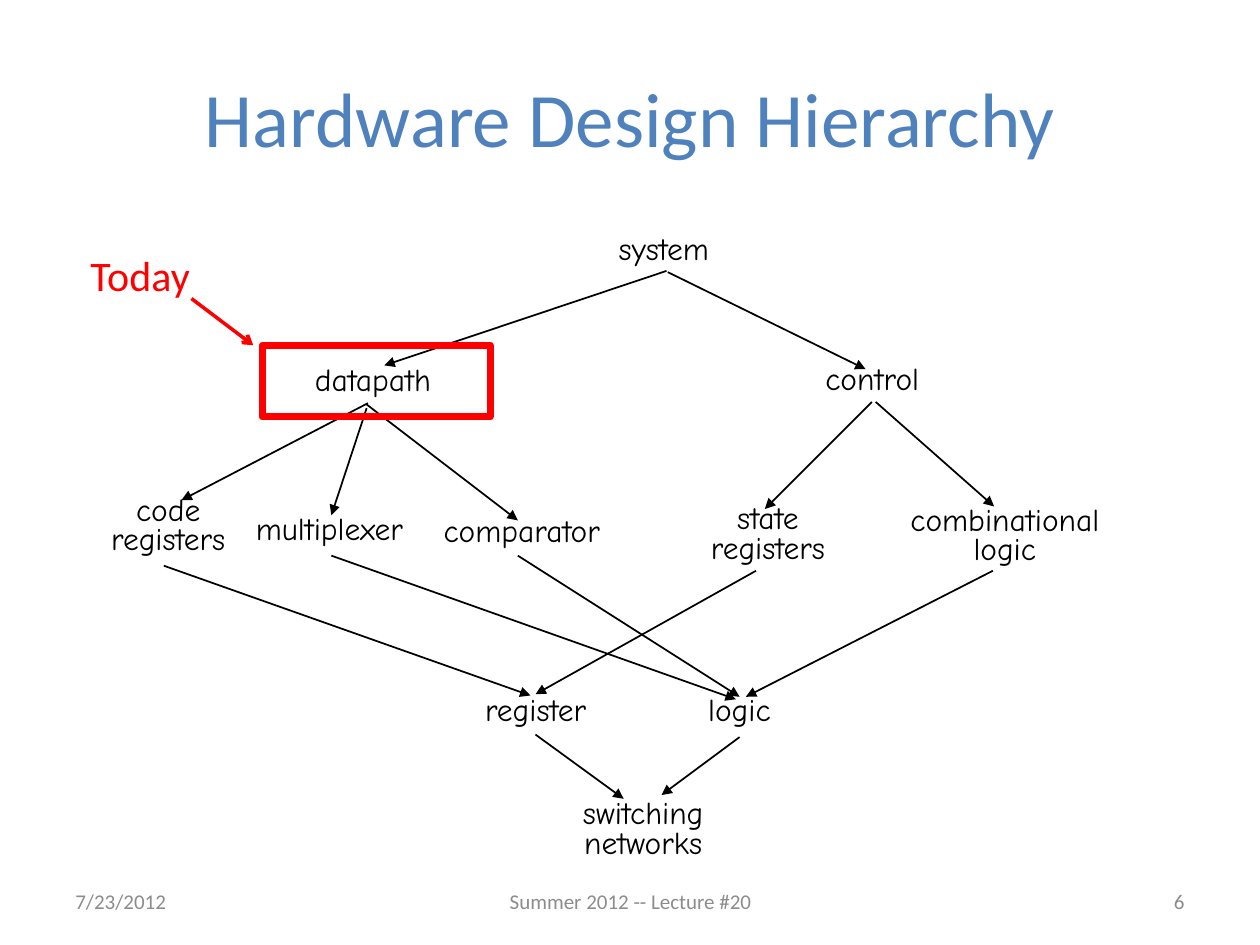
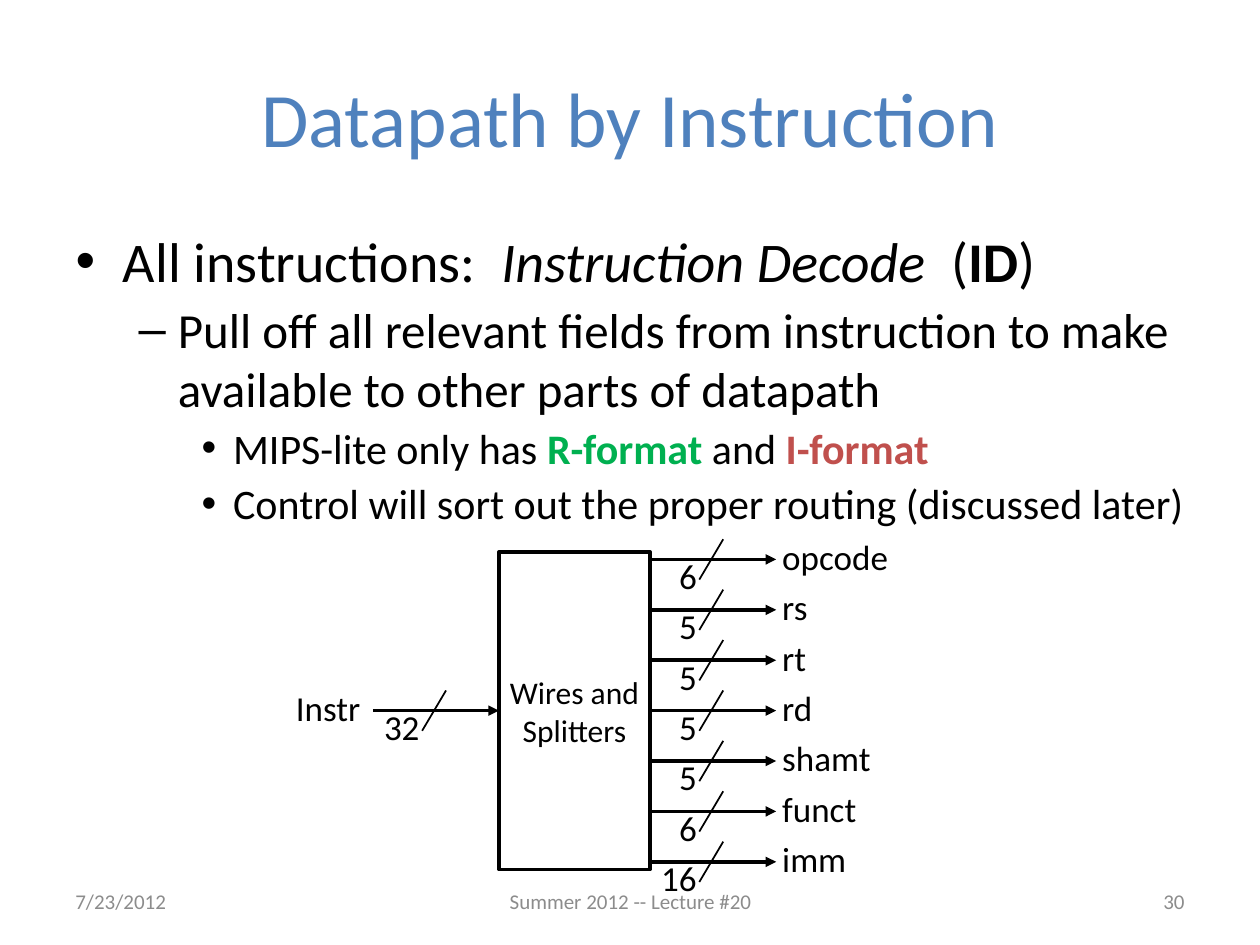
"""Builds two lecture slides: a hardware hierarchy and the instruction decode step."""
from lxml.etree import SubElement
from pptx import Presentation
from pptx.dml.color import RGBColor
from pptx.enum.shapes import MSO_CONNECTOR, MSO_SHAPE
from pptx.enum.text import MSO_ANCHOR, MSO_AUTO_SIZE, PP_ALIGN
from pptx.oxml.ns import qn
from pptx.util import Inches, Pt

BLUE, BLACK, GREY, RED = "4F81BD", "000000", "8C8C8C", "FF0000"
GREEN, BRICK = "00B050", "C0504D"
BODY_FONT, DIAGRAM_FONT = "Calibri", "Comic Neue"
LEFT, CENTER, RIGHT = PP_ALIGN.LEFT, PP_ALIGN.CENTER, PP_ALIGN.RIGHT

DATE, LECTURE = "7/23/2012", "Summer 2012 -- Lecture #20"

NODES = [
    ("system", 4.89, 1.85, 1.12, LEFT),
    ("datapath", 2.48, 2.89, 1.33, LEFT),
    ("control", 6.53, 2.88, 1.11, LEFT),
    ("code\nregisters", 0.83, 3.92, 1.01, CENTER),
    ("multiplexer", 2.01, 4.07, 1.49, LEFT),
    ("comparator", 3.5, 4.09, 1.52, LEFT),
    ("state\nregisters", 5.26, 3.99, 1.67, CENTER),
    ("combinational\nlogic", 6.79, 4, 2.37, CENTER),
    ("register", 3.83, 5.51, 1.16, LEFT),
    ("logic", 5.6, 5.51, 0.92, LEFT),
    ("switching\nnetworks", 4.09, 6.33, 2.03, CENTER),
]
BRANCHES = [
    ((5.29, 2.15), (3.05, 2.9)),
    ((5.3, 2.16), (6.87, 2.93)),
    ((2.92, 3.2), (1.44, 3.97)),
    ((2.91, 3.24), (2.63, 4.09)),
    ((2.91, 3.21), (4.11, 4.13)),
    ((6.92, 3.19), (6.07, 4.04)),
    ((6.95, 3.19), (7.89, 4.02)),
    ((1.3, 4.49), (4.21, 5.52)),
    ((2.63, 4.41), (5.84, 5.55)),
    ((4.11, 4.41), (5.87, 5.53)),
    ((6, 4.53), (4.25, 5.51)),
    ((7.88, 4.53), (5.92, 5.53)),
    ((4.25, 5.83), (4.95, 6.34)),
    ((5.87, 5.85), (5.25, 6.31)),
]

BULLETS = [
    (0, [("All instructions:  ", ""), ("Instruction Decode ", "italic"), (" (", ""),
         ("ID", "bold"), (")", "")]),
    (1, [("Pull off all relevant fields from instruction to make "
          "available to other parts of datapath", "")]),
    (2, [("MIPS-lite only has ", ""), ("R-format", GREEN), (" and ", ""), ("I-format", BRICK)]),
    (2, [("Control will sort out the proper routing (discussed later)", "")]),
]
LEVEL_SIZES = [32, 28, 24]
FIELDS = [("opcode", 6), ("rs", 5), ("rt", 5), ("rd", 5), ("shamt", 5), ("funct", 6), ("imm", 16)]
FIELD_TOP, FIELD_STEP = 4.44, 0.4
SPLITTER = (3.96, 4.38, 1.2, 2.52)
WIRE_LENGTH = 1


def rgb(color):
    return RGBColor.from_string(color)


def style(paragraph, size, color=BLACK, align=LEFT, font=BODY_FONT):
    paragraph.alignment = align
    paragraph.font.name = font
    paragraph.font.size = Pt(size)
    paragraph.font.color.rgb = rgb(color)


def place(part, left, top, width, height):
    part.left, part.top = Inches(left), Inches(top)
    part.width, part.height = Inches(width), Inches(height)


def add_label(slide, words, box, size, color=BLACK, align=LEFT, font=BODY_FONT,
              insets=(0.1, 0.05), anchor=MSO_ANCHOR.TOP, wrap=True):
    frame = slide.shapes.add_textbox(*map(Inches, box)).text_frame
    frame.word_wrap, frame.vertical_anchor = wrap, anchor
    frame.margin_left = frame.margin_right = Inches(insets[0])
    frame.margin_top = frame.margin_bottom = Inches(insets[1])
    paragraph = frame.paragraphs[0]
    paragraph.text = words
    style(paragraph, size, color, align, font)
    return paragraph


def add_line(slide, start, end, width=1, color=BLACK, head=None):
    line = slide.shapes.add_connector(MSO_CONNECTOR.STRAIGHT, *map(Inches, (*start, *end)))
    line.line.color.rgb, line.line.width = rgb(color), Pt(width)
    if head:
        SubElement(line.line._get_or_add_ln(), qn("a:tailEnd"), type=head)
    SubElement(line._element.spPr, qn("a:effectLst"))
    return line


def add_frame(slide, box, color, width):
    frame = slide.shapes.add_shape(MSO_SHAPE.RECTANGLE, *map(Inches, box))
    frame.shadow.inherit = False
    frame.fill.background()
    frame.line.color.rgb, frame.line.width = rgb(color), Pt(width)
    return frame


def start_slide(deck, layout, title, number):
    slide = deck.slides.add_slide(deck.slide_layouts[layout])
    heading = slide.shapes.title
    place(heading, 0.5, 0.3, 9, 1.25)
    heading.text_frame.text = title
    heading.text_frame.vertical_anchor = MSO_ANCHOR.MIDDLE
    style(heading.text_frame.paragraphs[0], 44, BLUE, CENTER)
    for words, left, width, align in [(DATE, 0.5, 2.33, LEFT), (LECTURE, 3.42, 3.17, CENTER),
                                      (str(number), 7.17, 2.33, RIGHT)]:
        add_label(slide, words, (left, 6.95, width, 0.4), 12, GREY, align,
                  anchor=MSO_ANCHOR.MIDDLE)
    return slide


def add_hierarchy(deck):
    slide = start_slide(deck, 5, "Hardware Design Hierarchy", 6)
    for words, left, top, width, align in NODES:
        height = 0.6 if "\n" in words else 0.37
        node = add_label(slide, words, (left, top, width, height), 18, align=align,
                         font=DIAGRAM_FONT, insets=(0.02, 0.03))
        node.line_spacing = Pt(17)
    for start, end in BRANCHES:
        add_line(slide, start, end, head="triangle")
    add_frame(slide, (2.08, 2.74, 1.81, 0.57), RED, 4)
    add_label(slide, "Today", (0.62, 1.93, 1, 0.5), 24, RED, wrap=False)
    add_line(slide, (1.52, 2.37), (2.01, 2.74), 2, RED, "arrow")


def add_wire(slide, left, y, bits):
    wire = add_line(slide, (left, y), (left + WIRE_LENGTH, y), 2, head="triangle")
    add_line(slide, (left + 0.58, y - 0.16), (left + 0.39, y + 0.16))
    add_label(slide, str(bits), (left - 0.03, y - 0.04, 0.4, 0.34), 20, align=RIGHT, insets=(0, 0))
    return wire


def add_decode(deck):
    slide = start_slide(deck, 1, "Datapath by Instruction", 30)
    body = slide.placeholders[1]
    place(body, 0.5, 1.75, 9, 5.4)
    body.text_frame.auto_size = MSO_AUTO_SIZE.NONE
    for index, (level, pieces) in enumerate(BULLETS):
        bullet = body.text_frame.add_paragraph() if index else body.text_frame.paragraphs[0]
        bullet.level = level
        bullet.space_before = Pt(3 if index else 0)
        style(bullet, LEVEL_SIZES[level])
        for words, look in pieces:
            piece = bullet.add_run()
            piece.text = words
            if look == "italic":
                piece.font.italic = True
            elif look:
                piece.font.bold = True
                if look != "bold":
                    piece.font.color.rgb = rgb(look)

    splitter = add_frame(slide, SPLITTER, BLACK, 2)
    splitter.text_frame.word_wrap = False
    splitter.text_frame.vertical_anchor = MSO_ANCHOR.MIDDLE
    splitter.text_frame.text = "Wires and\nSplitters"
    for paragraph in splitter.text_frame.paragraphs:
        style(paragraph, 18, align=CENTER)

    left, top, width, height = SPLITTER
    right, middle = left + width, top + height / 2
    add_label(slide, "Instr", (2.25, middle - 0.24, 0.72, 0.43), 20, wrap=False)
    add_wire(slide, left - WIRE_LENGTH, middle, 32).end_connect(splitter, 1)
    for row, (field, bits) in enumerate(FIELDS):
        y = FIELD_TOP + row * FIELD_STEP
        wire = add_wire(slide, right, y, bits)
        if row == len(FIELDS) // 2:
            wire.begin_connect(splitter, 3)
        add_label(slide, field, (right + 0.95, y - 0.24, 1.05, 0.43), 20)


def main():
    deck = Presentation()
    deck.slide_width, deck.slide_height = Inches(10), Inches(7.5)
    add_hierarchy(deck)
    add_decode(deck)
    deck.save("out.pptx")


if __name__ == "__main__":
    main()
